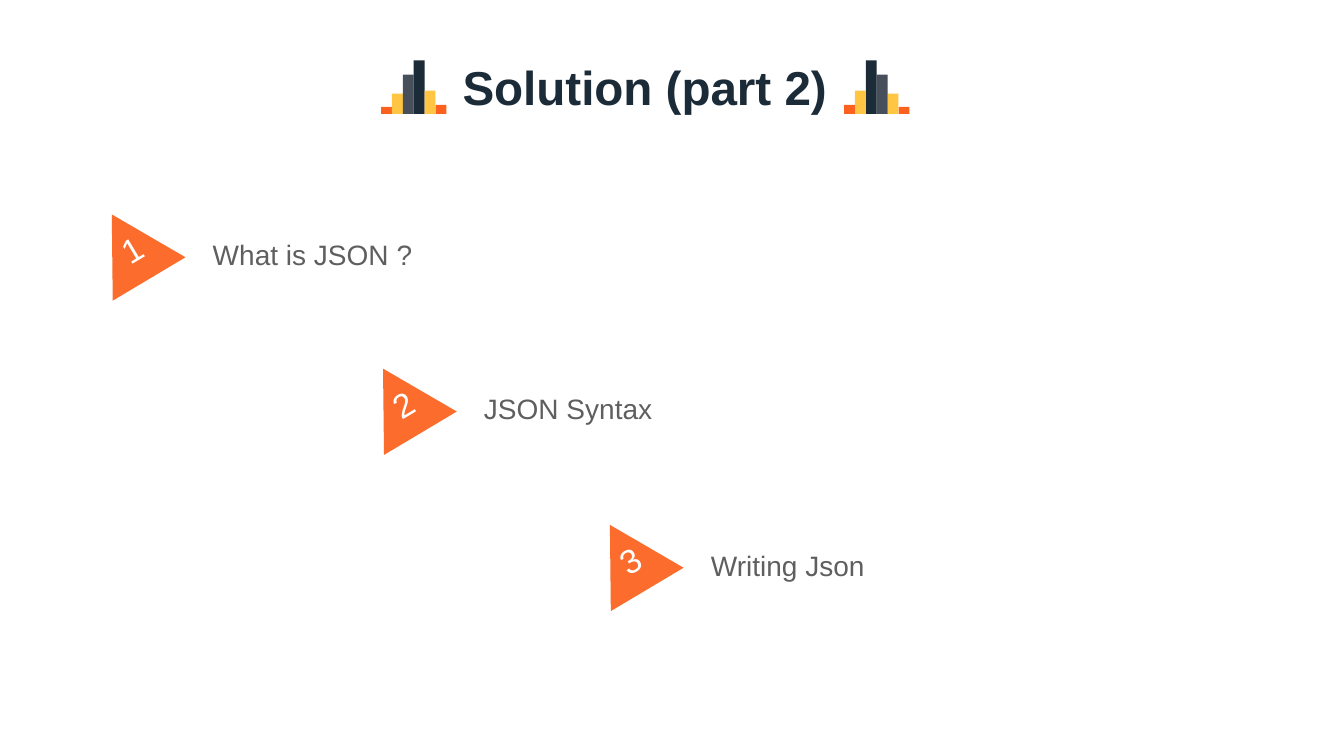
from dataclasses import dataclass

from pptx import Presentation
from pptx.dml.color import RGBColor
from pptx.enum.shapes import MSO_SHAPE
from pptx.enum.text import MSO_ANCHOR, PP_ALIGN
from pptx.shapes.autoshape import Shape
from pptx.slide import Slide
from pptx.util import Inches, Pt

RECTANGLE = MSO_SHAPE.RECTANGLE
MIDDLE = MSO_ANCHOR.MIDDLE
LEFT, CENTER = PP_ALIGN.LEFT, PP_ALIGN.CENTER

FONT = "Arial"
NAVY, SLATE, YELLOW, ORANGE = "1C2B38", "464F5A", "FFC543", "FC611F"
MARKER_ORANGE, GREY, WHITE = "FC6C2C", "5F5F5F", "FFFFFF"

SKYLINE_LEFT, SKYLINE_BASE, BAR_WIDTH = 3.78, 1.13, 0.108
MIRROR_SUM = 12.8
MARKER_WIDTH, MARKER_HEIGHT, MARKER_APEX = 0.84, 0.74, 0.43
MARKER_ROTATION = 329.2


@dataclass(frozen=True)
class Bar:
    height: float
    color: str


@dataclass(frozen=True)
class Topic:
    label: str
    left: float
    top: float


BARS = [
    Bar(0.07, ORANGE),
    Bar(0.2, YELLOW),
    Bar(0.39, SLATE),
    Bar(0.53, NAVY),
    Bar(0.23, YELLOW),
    Bar(0.09, ORANGE),
]
TOPICS = [
    Topic("What is JSON ?", 0.87, 2.08),
    Topic("JSON Syntax", 3.56, 3.61),
    Topic("Writing Json", 5.81, 5.16),
]


def rgb(color: str) -> RGBColor:
    return RGBColor.from_string(color)


def paint(shape: Shape, color: str) -> None:
    shape.fill.solid()
    shape.fill.fore_color.rgb = rgb(color)
    shape.line.fill.background()
    shape.shadow.inherit = False


def write(shape: Shape, text: str, size: int, color: str, align: PP_ALIGN,
          bold: bool = False, top_inset: float = 0) -> None:
    frame = shape.text_frame
    frame.word_wrap = True
    frame.vertical_anchor = MIDDLE
    frame.margin_left = frame.margin_right = frame.margin_bottom = 0
    frame.margin_top = Inches(top_inset)
    paragraph = frame.paragraphs[0]
    paragraph.text = text
    paragraph.alignment = align
    font = paragraph.font
    font.name, font.size, font.bold = FONT, Pt(size), bold
    font.color.rgb = rgb(color)


def draw_title(slide: Slide) -> None:
    title = slide.shapes.add_textbox(Inches(4.42), Inches(0.32), Inches(3.95), Inches(1.08))
    write(title, "Solution (part 2)", 34, NAVY, CENTER, bold=True)


def draw_skyline(slide: Slide, mirrored: bool) -> None:
    skyline = slide.shapes.add_group_shape()
    for index, bar in enumerate(BARS):
        left = SKYLINE_LEFT + index * BAR_WIDTH
        if mirrored:
            left = MIRROR_SUM - left - BAR_WIDTH
        tower = skyline.shapes.add_shape(
            RECTANGLE, Inches(left), Inches(SKYLINE_BASE - bar.height),
            Inches(BAR_WIDTH), Inches(bar.height))
        paint(tower, bar.color)


def draw_topic(slide: Slide, number: int, topic: Topic) -> None:
    group = slide.shapes.add_group_shape()
    label = group.shapes.add_textbox(
        Inches(topic.left + 1.24), Inches(topic.top + 0.02), Inches(3.88), Inches(0.85))
    write(label, topic.label, 20, GREY, LEFT)

    base = topic.top + MARKER_HEIGHT
    outline = group.shapes.build_freeform(
        Inches(topic.left + MARKER_APEX), Inches(topic.top))
    outline.add_line_segments([
        (Inches(topic.left + MARKER_WIDTH), Inches(base)),
        (Inches(topic.left), Inches(base)),
    ], close=True)
    marker = outline.convert_to_shape()
    marker.rotation = MARKER_ROTATION
    paint(marker, MARKER_ORANGE)
    write(marker, str(number), 24, WHITE, CENTER, top_inset=0.06)


def main() -> None:
    deck = Presentation()
    deck.slide_width, deck.slide_height = Inches(13.33), Inches(7.5)
    slide = deck.slides.add_slide(deck.slide_layouts[6])
    draw_title(slide)
    for mirrored in (False, True):
        draw_skyline(slide, mirrored)
    for number, topic in enumerate(TOPICS, start=1):
        draw_topic(slide, number, topic)
    deck.save("out.pptx")


if __name__ == "__main__":
    main()
